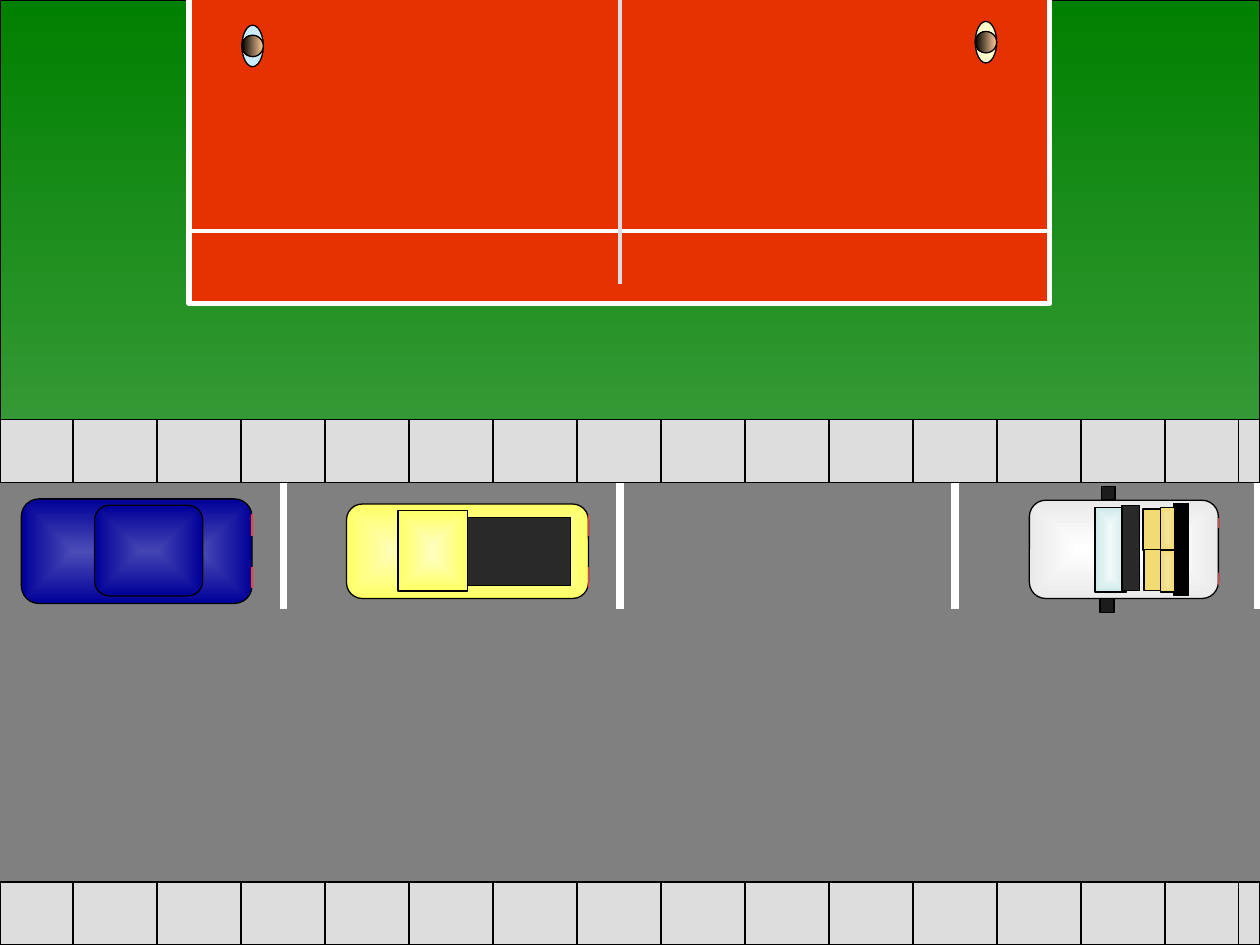
from lxml import etree
from pptx import Presentation
from pptx.dml.color import RGBColor
from pptx.enum.shapes import MSO_CONNECTOR, MSO_SHAPE
from pptx.oxml.ns import qn
from pptx.util import Inches, Pt

COLORS = {
    "asphalt": "808080", "black": "000000", "white": "FFFFFF",
    "grass": "008000", "light grass": "3C9D3C", "pavement": "DDDDDD",
    "clay": "E63100", "lamp": "FF3737", "dark": "292929", "mirror": "1C1C1C",
    "van": "EAEAEA", "seat": "F2DA74", "light seat": "F4E49D",
    "glass": "CDE9EB", "light glass": "F2F9F9",
    "pickup": "FFFF66", "pickup shine": "FEFEBA", "cab shine": "FEFEBF",
    "sedan": "000099", "sedan shine": "4C4CB7", "roof shine": "4444B3",
    "skin": "FFCC99", "blue shirt": "CCECFF", "yellow shirt": "FFFFCC",
}
RECT, ROUND, OVAL = MSO_SHAPE.RECTANGLE, MSO_SHAPE.ROUNDED_RECTANGLE, MSO_SHAPE.OVAL

SEAT_BACK = ("light seat", "seat", "center")
VAN = [
    (ROUND, (8.17, 3.97, 1.5, 0.78), ("white", "van", "center"), 0),
    (RECT, (9.01, 4.3, 0.73, 0.12), "black", 90),
    (RECT, (9.02, 4.09, 0.33, 0.23), "seat", 90),
    (RECT, (9.03, 4.41, 0.33, 0.23), "seat", 90),
    (RECT, (9.1, 4.14, 0.33, 0.11), SEAT_BACK, 90),
    (RECT, (9.1, 4.48, 0.33, 0.11), SEAT_BACK, 90),
    (RECT, (8.48, 4.24, 0.67, 0.25), ("light glass", "glass", "center"), 90),
    (RECT, (8.64, 4.28, 0.67, 0.14), "dark", 90),
    (RECT, (8.73, 4.75, 0.11, 0.11), "mirror", 90),
    (RECT, (8.74, 3.86, 0.11, 0.11), "mirror", 90),
]
PICKUP = [
    (ROUND, (2.75, 4, 1.92, 0.75), ("pickup shine", "pickup", "center"), 0),
    (RECT, (3.16, 4.05, 0.55, 0.64), ("cab shine", "pickup", "center"), 0),
    (RECT, (3.71, 4.11, 0.82, 0.54), "dark", 0),
]
SEDAN = [
    (ROUND, (0.17, 3.96, 1.83, 0.83), ("sedan shine", "sedan", "center"), 0),
    (ROUND, (0.75, 4.01, 0.86, 0.72), ("roof shine", "sedan", "center"), 0),
]
VEHICLES = [
    (VAN, 9.67, [(4.11, 4.19), (4.55, 4.64)]),
    (PICKUP, 4.67, [(4.08, 4.25), (4.5, 4.67)]),
    (SEDAN, 2, [(4.08, 4.25), (4.5, 4.67)]),
]
PLAYERS = [(1.92, 0.2, "blue shirt"), (7.74, 0.17, "yellow shirt")]
BAY_LINES = [2.25, 4.92, 7.58, 9.98]
PAVEMENT_TOPS = [7, 3.33]
PAVING_JOINTS = [0.58 + i * 2 / 3 for i in range(14)] + [9.83]


def rgb(name):
    return RGBColor.from_string(COLORS[name])


def paint(fill, paint_spec):
    if isinstance(paint_spec, str):
        fill.solid()
        fill.fore_color.rgb = rgb(paint_spec)
        return
    start, end, direction = paint_spec
    fill.gradient()
    for stop, name in zip(fill.gradient_stops, (start, end)):
        stop.color.rgb = rgb(name)
    if direction != "center":
        fill.gradient_angle = direction


def add_part(parent, kind, box, fill, rotation=0, outline="black", width=0.75):
    part = parent.shapes.add_shape(kind, *map(Inches, box))
    part.shadow.inherit = False
    part.rotation = rotation
    if kind == ROUND:
        part.adjustments[0] = 0.167
    paint(part.fill, fill)
    if fill[-1] == "center":
        gradient = part.fill._xPr.find(qn("a:gradFill"))
        gradient.remove(gradient.find(qn("a:lin")))
        center = etree.SubElement(gradient, qn("a:path"), path="rect")
        etree.SubElement(center, qn("a:fillToRect"),
                         {side: "50000" for side in "ltrb"})
    part.line.color.rgb = rgb(outline)
    part.line.width = Pt(width)


def add_line(parent, start, end, color="black", width=0.75):
    line = parent.shapes.add_connector(
        MSO_CONNECTOR.STRAIGHT, *map(Inches, start + end))
    line.line.color.rgb = rgb(color)
    line.line.width = Pt(width)
    etree.SubElement(line._element.spPr, qn("a:effectLst"))


def main():
    deck = Presentation()
    deck.slide_width, deck.slide_height = Inches(10), Inches(7.5)
    slide = deck.slides.add_slide(deck.slide_layouts[6])
    paint(slide.background.fill, "asphalt")

    add_part(slide, RECT, (0, 0, 10, 3.83), ("grass", "light grass", 270))
    for x in BAY_LINES:
        add_line(slide, (x, 3.83), (x, 4.83), "white", 4.5)

    for parts, rear, lamps in VEHICLES:
        vehicle = slide.shapes.add_group_shape()
        for part in parts:
            add_part(vehicle, *part)
        for top, bottom in lamps:
            add_line(vehicle, (rear, top), (rear, bottom), "lamp")

    for top in PAVEMENT_TOPS:
        pavement = slide.shapes.add_group_shape()
        add_part(pavement, RECT, (0, top, 10, 0.5), "pavement")
        for x in PAVING_JOINTS:
            add_line(pavement, (x, top), (x, top + 0.5))

    add_part(slide, RECT, (1.5, -0.17, 6.83, 2.58), "clay", outline="white", width=3)
    add_line(slide, (1.5, 1.83), (8.33, 1.83), "white", 2.25)
    add_line(slide, (4.92, -0.17), (4.92, 2.25), "pavement", 2)

    for left, top, shirt in PLAYERS:
        player = slide.shapes.add_group_shape()
        add_part(player, OVAL, (left, top, 0.17, 0.33), shirt)
        add_part(player, OVAL, (left, top + 0.08, 0.17, 0.17), ("skin", "black", 180))

    deck.save("out.pptx")


if __name__ == "__main__":
    main()
